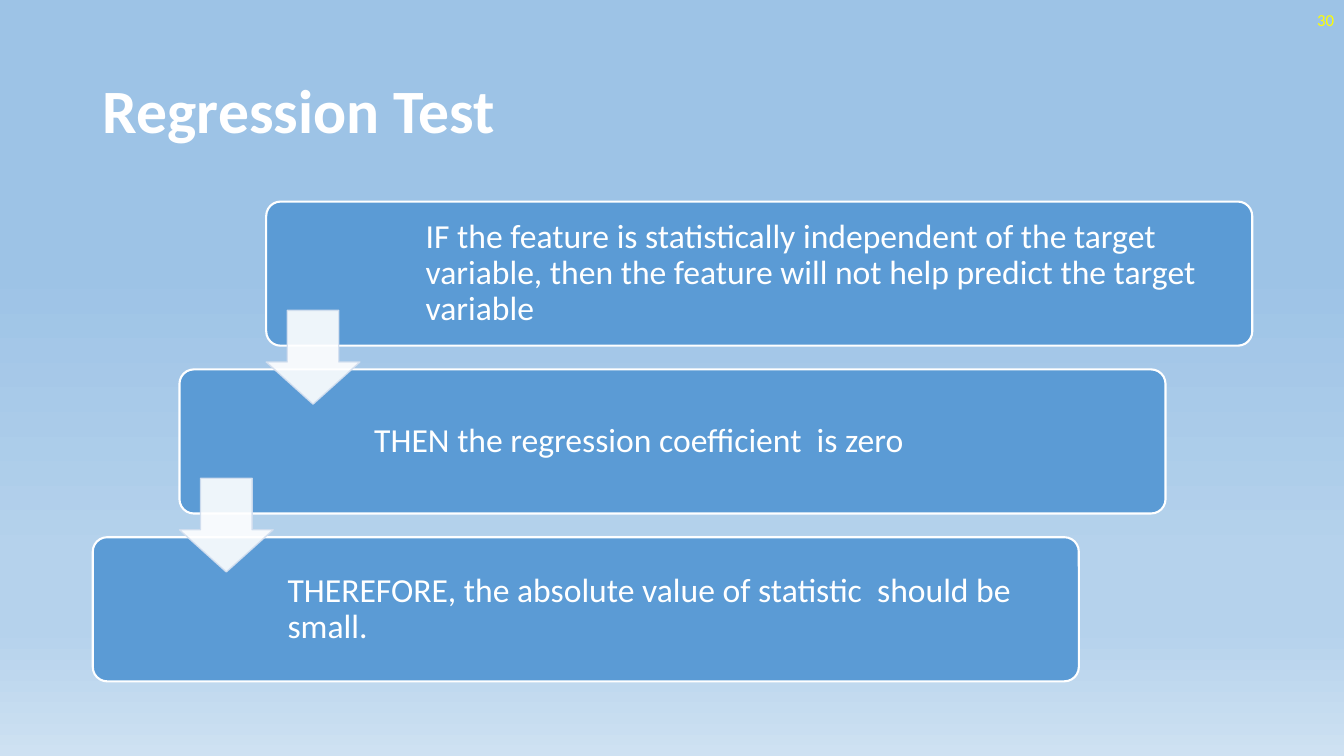
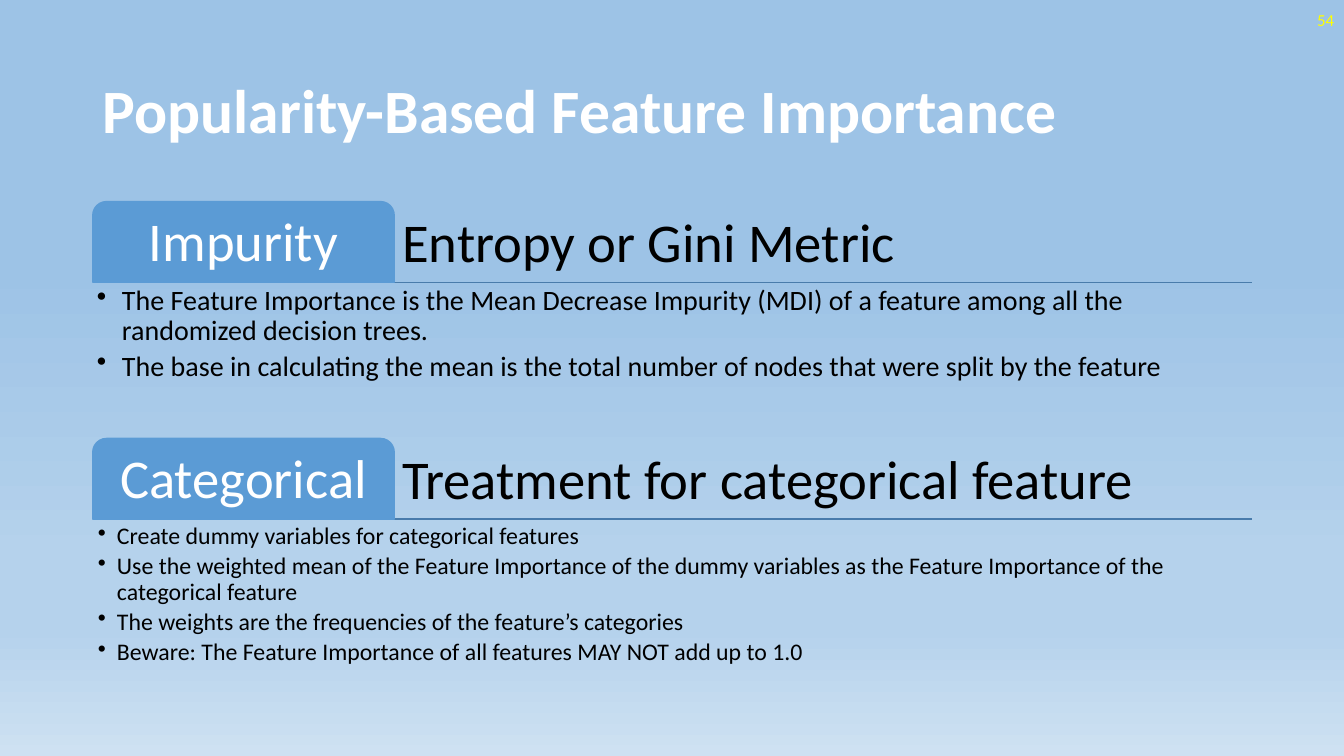
import pptx
import pptx.util
import pptx.dml.color
import pptx.enum.dml
import pptx.enum.shapes
import pptx.enum.text
import pptx.oxml
import pptx.oxml.ns
from dataclasses import dataclass
from lxml import etree

Inches, Pt = pptx.util.Inches, pptx.util.Pt
RGB = pptx.dml.color.RGBColor.from_string
SHAPE = pptx.enum.shapes.MSO_SHAPE
ALIGN = pptx.enum.text.PP_ALIGN
ANCHOR = pptx.enum.text.MSO_ANCHOR
qn = pptx.oxml.ns.qn


@dataclass(frozen=True)
class Theme:
    font: str = "Calibri"
    white: str = "FFFFFF"
    black: str = "000000"
    blue: str = "5B9BD5"
    rule: str = "497CAB"
    arrow_edge: str = "D2DEEF"
    number: str = "FFFF00"
    background: tuple = ((35, "9DC3E6"), (74, "B5D2EC"), (83, "B5D2EC"), (100, "CEE1F2"))
    title_size: int = 44
    heading_size: int = 39
    step_size: int = 24
    number_size: int = 12
    left: float = 0.92
    top: float = 2
    width: float = 11.5
    bottom: float = 6.76


T = Theme()

STEPS = [
    ("IF the feature is statistically independent of the target variable, "
     "then the feature will not help predict the target variable", 1.54),
    ("THEN the regression coefficient  is zero", 1.89),
    ("THEREFORE, the absolute value of statistic  should be small.", 1.89),
]

# top, tab label, heading, bullet size, bullet indent, inset, bullets
SECTIONS = [
    (T.top, "Impurity", "Entropy or Gini Metric", 20, 0.25, 0.04, [
        "The Feature Importance is the Mean Decrease Impurity (MDI) of a feature "
        "among all the randomized decision trees.",
        "The base in calculating the mean is the total number of nodes that were "
        "split by the feature",
    ]),
    (4.35, "Categorical", "Treatment for categorical feature", 17, 0.19, 0.05, [
        "Create dummy variables for categorical features",
        "Use the weighted mean of the Feature Importance of the dummy variables "
        "as the Feature Importance of the categorical feature",
        "The weights are the frequencies of the feature’s categories",
        "Beware: The Feature Importance of all features MAY NOT add up to 1.0",
    ]),
]


# Text
def set_frame(tf, insets=(0.1, 0.05, 0.1, 0.05), anchor=ANCHOR.MIDDLE):
    sides = zip(("left", "top", "right", "bottom"), insets)
    values = {f"margin_{side}": Inches(inset) for side, inset in sides}
    values.update(word_wrap=True, vertical_anchor=anchor,
                  auto_size=pptx.enum.text.MSO_AUTO_SIZE.NONE)
    for name, value in values.items():
        setattr(tf, name, value)


def write(p, text, size, color, bold=False, align=ALIGN.LEFT, spacing=0.9):
    for name, value in dict(alignment=align, line_spacing=spacing).items():
        setattr(p, name, value)
    r = p.add_run()
    r.text = text
    for name, value in dict(name=T.font, size=Pt(size), bold=bold).items():
        setattr(r.font, name, value)
    r.font.color.rgb = RGB(color)


def add_text(s, box, text, size, color, insets=(0.1, 0.05, 0.1, 0.05),
             anchor=ANCHOR.MIDDLE, **style):
    tf = s.shapes.add_textbox(*map(Inches, box)).text_frame
    set_frame(tf, insets, anchor)
    write(tf.paragraphs[0], text, size, color, **style)


def add_bullets(s, box, items, size, indent, inset):
    tf = s.shapes.add_textbox(*map(Inches, box)).text_frame
    set_frame(tf, (inset,) * 4, ANCHOR.TOP)
    for i, item in enumerate(items):
        p = tf.add_paragraph() if i else tf.paragraphs[0]
        pPr = p._p.get_or_add_pPr()
        pPr.set("marL", str(Inches(indent)))
        pPr.set("indent", str(-Inches(indent)))
        etree.SubElement(pPr, qn("a:buChar"), char="•")
        p.space_after = Pt(round(size * 0.18, 1))
        write(p, item, size, T.black)


# Shapes
def add_shape(s, kind, box, adjustments, fill, line, line_width):
    sp = s.shapes.add_shape(kind, *map(Inches, box))
    sp.shadow.inherit = False
    for i, value in enumerate(adjustments):
        sp.adjustments[i] = value
    sp.fill.solid()
    sp.fill.fore_color.rgb = RGB(fill)
    sp.line.color.rgb = RGB(line)
    sp.line.width = Pt(line_width)
    return sp


def add_arrow(s, x, y, size=0.93):
    sp = add_shape(s, SHAPE.DOWN_ARROW, (x, y, size, size), (0.55, 0.45),
                   T.white, T.arrow_edge, 1)
    # The listed adjustments are head width share and head length share
    sp.adjustments[0], sp.adjustments[1] = 0.55, 0.45
    for color in sp._element.spPr.iter(qn("a:srgbClr")):
        etree.SubElement(color, qn("a:alpha"), val="90000")


def add_rule(s, y):
    line = s.shapes.add_connector(
        pptx.enum.shapes.MSO_CONNECTOR.STRAIGHT,
        *map(Inches, (T.left, y, T.left + T.width, y)))
    line.line.color.rgb = RGB(T.rule)
    line.line.width = Pt(1)
    etree.SubElement(line._element.spPr, qn("a:effectLst"))


# Shared slide parts
def set_background(master):
    fill = master.background.fill
    fill.gradient()
    fill.gradient_angle = 270
    stops = next(master.element.cSld.iter(qn("a:gsLst")))
    for stop in list(stops):
        stops.remove(stop)
    for position, color in T.background:
        stop = etree.SubElement(stops, qn("a:gs"), pos=str(position * 1000))
        etree.SubElement(stop, qn("a:srgbClr"), val=color)


def add_slide(prs, title, number):
    s = prs.slides.add_slide(prs.slide_layouts[5])
    sp = s.shapes.title
    place = dict(left=T.left, top=0.4, width=T.width, height=1.45)
    for name, value in place.items():
        setattr(sp, name, Inches(value))
    set_frame(sp.text_frame)
    write(sp.text_frame.paragraphs[0], title, T.title_size, T.white, bold=True)
    add_text(s, (10.33, 0, 3, 0.4), number, T.number_size, T.number,
             align=ALIGN.RIGHT, spacing=1.0)
    return s


# Content
def add_steps(s, steps, width=9.78, height=1.43):
    gaps = len(steps) - 1
    shift = (T.width - width) / gaps
    pitch = (T.bottom - T.top - height) / gaps
    for i, (text, inset) in enumerate(steps):
        x, y = T.left + shift * (gaps - i), T.top + pitch * i
        sp = add_shape(s, SHAPE.ROUNDED_RECTANGLE, (x, y, width, height),
                       (0.1,), T.blue, T.white, 1.5)
        set_frame(sp.text_frame, (inset, 0.1, 0.11, 0.1))
        write(sp.text_frame.paragraphs[0], text, T.step_size, T.white)
        if i:
            add_arrow(s, x + shift, y - pitch + 1.08)


def add_section(s, top, label, heading, size, indent, inset, bullets):
    tab_width, height, pad = 2.99, 0.8, (0.08,) * 4
    add_rule(s, top + height)
    add_text(s, (T.left + tab_width, top, T.width - tab_width, height), heading,
             T.heading_size, T.black, pad, ANCHOR.BOTTOM)
    tab = add_shape(s, SHAPE.ROUND_2_SAME_RECTANGLE,
                    (T.left, top, tab_width, height), (0.17, 0), T.blue, T.blue, 1)
    set_frame(tab.text_frame, pad)
    write(tab.text_frame.paragraphs[0], label, T.heading_size, T.white,
          align=ALIGN.CENTER)
    add_bullets(s, (T.left, top + height, T.width, 1.55), bullets, size, indent, inset)


def main():
    prs = pptx.Presentation()
    prs.slide_width, prs.slide_height = Inches(13.33), Inches(7.5)
    set_background(prs.slide_master)

    add_steps(add_slide(prs, "Regression Test", "30"), STEPS)

    s = add_slide(prs, "Popularity-Based Feature Importance", "54")
    for section in SECTIONS:
        add_section(s, *section)

    prs.save("out.pptx")


if __name__ == "__main__":
    main()
